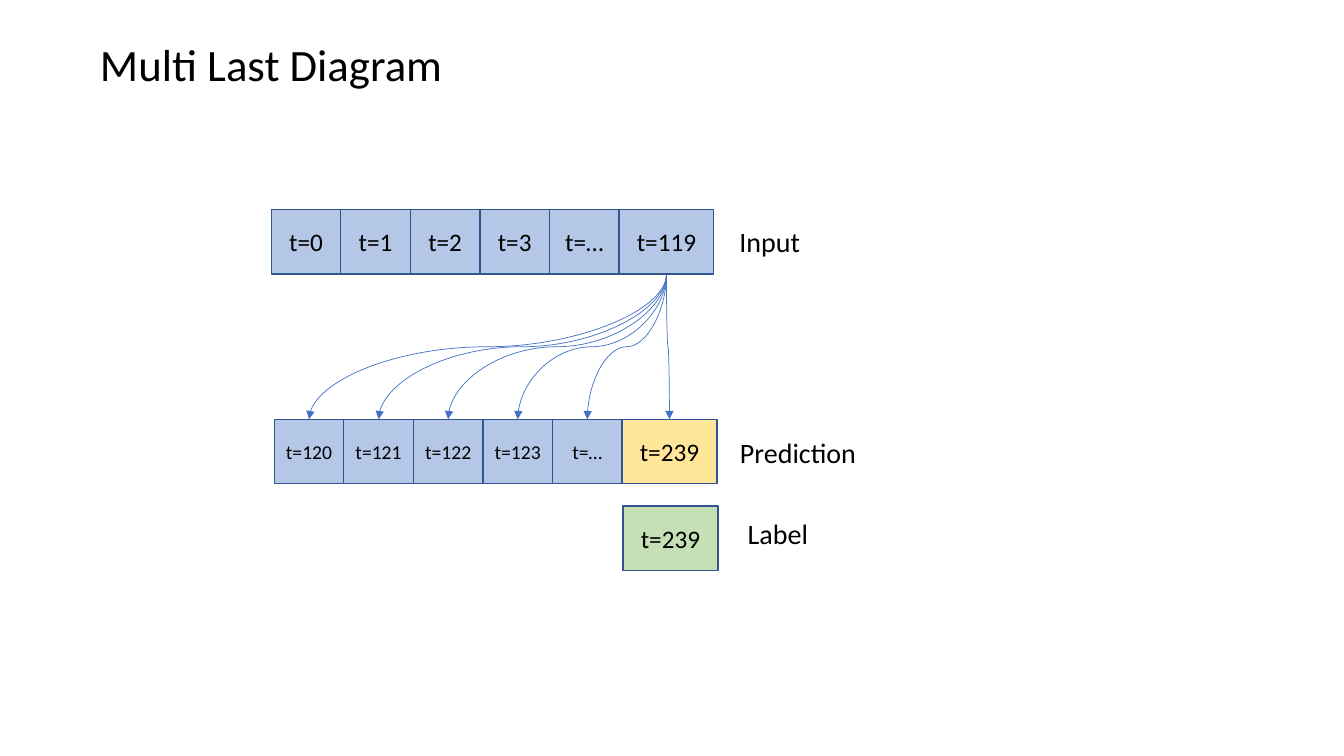
import pptx
import pptx.util
import pptx.dml.color
import pptx.enum.shapes
import pptx.enum.text
import pptx.oxml
from pptx.oxml.ns import qn

Inches = pptx.util.Inches
Pt = pptx.util.Pt
RGBColor = pptx.dml.color.RGBColor

BLACK = RGBColor(0x00, 0x00, 0x00)
BLUE = RGBColor(0xB4, 0xC7, 0xE7)
YELLOW = RGBColor(0xFF, 0xE6, 0x99)
GREEN = RGBColor(0xC5, 0xE0, 0xB4)
OUTLINE = RGBColor(0x32, 0x54, 0x91)
ARROW = RGBColor(0x44, 0x72, 0xC4)

FONT = "Calibri"
STEP_W, LAST_W, CELL_H = 0.69, 0.94, 0.64


def write(tf, text, size):
    """Put one centred black line of text in a text frame."""
    p = tf.paragraphs[0]
    p.text = text
    p.alignment = pptx.enum.text.PP_ALIGN.CENTER
    p.font.name = FONT
    p.font.size = Pt(size)
    p.font.color.rgb = BLACK


def add_caption(s, x, y, w, h, text, size=20):
    tf = s.shapes.add_textbox(Inches(x), Inches(y), Inches(w), Inches(h)).text_frame
    tf.word_wrap = False
    tf.auto_size = pptx.enum.text.MSO_AUTO_SIZE.SHAPE_TO_FIT_TEXT
    write(tf, text, size)


def add_cell(s, x, y, w, text, size=18, fill=BLUE):
    sp = s.shapes.add_shape(pptx.enum.shapes.MSO_SHAPE.RECTANGLE,
                            Inches(x), Inches(y), Inches(w), Inches(CELL_H))
    sp.shadow.inherit = False
    sp.fill.solid()
    sp.fill.fore_color.rgb = fill
    sp.line.color.rgb = OUTLINE
    sp.line.width = Pt(1)
    sp.text_frame.vertical_anchor = pptx.enum.text.MSO_ANCHOR.MIDDLE
    write(sp.text_frame, text, size)


def add_sequence(s, x, y, steps, last, step_size=18, last_fill=BLUE):
    """Draw a row of time steps and a wider last one; return the cell centres."""
    centres = []
    for i, text in enumerate(steps):
        left = x + i * STEP_W
        add_cell(s, left, y, STEP_W, text, step_size)
        centres.append(left + STEP_W / 2)
    left = x + len(steps) * STEP_W
    add_cell(s, left, y, LAST_W, last, fill=last_fill)
    return centres + [left + LAST_W / 2]


def add_curve(s, x1, y1, x2, y2):
    """Draw a curved arrow that leaves and arrives vertically."""
    run, rise = abs(x2 - x1), y2 - y1
    cx, cy = (x1 + x2) / 2, (y1 + y2) / 2
    start, end, turn = cx - rise / 2, cx + rise / 2, 90
    if x2 > x1:
        start, end, turn = end, start, 270
    c = s.shapes.add_connector(pptx.enum.shapes.MSO_CONNECTOR.CURVE,
                               Inches(start), Inches(cy - run / 2),
                               Inches(end), Inches(cy + run / 2))
    c.line.color.rgb = ARROW
    c.line.width = Pt(0.5)
    props = c.element.spPr
    props.find(qn("a:xfrm")).set("rot", str(turn * 60000))
    tail = pptx.oxml.parse_xml(
        '<a:tailEnd xmlns:a="http://schemas.openxmlformats.org/drawingml/2006/main"'
        ' type="triangle"/>')
    props.find(qn("a:ln")).append(tail)
    props.append(props.makeelement(qn("a:effectLst"), {}))


def add_diagram(s, x, y):
    """Draw input, prediction and label rows with the input's top left at x, y."""
    prediction_y = y + 2.08
    label_y = y + 2.94
    inputs = add_sequence(s, x, y, ["t=0", "t=1", "t=2", "t=3", "t=…"], "t=119")
    add_caption(s, x + 4.54, y + 0.1, 0.81, 0.44, "Input")
    outputs = add_sequence(s, x + 0.03, prediction_y,
                           ["t=120", "t=121", "t=122", "t=123", "t=…"], "t=239",
                           step_size=14, last_fill=YELLOW)
    add_caption(s, x + 4.54, prediction_y + 0.11, 1.37, 0.44, "Prediction")
    add_cell(s, x + 3.49, label_y, LAST_W, "t=239", fill=GREEN)
    add_caption(s, x + 4.62, label_y + 0.06, 0.81, 0.44, "Label")
    for target in reversed(outputs):
        add_curve(s, inputs[-1], y + CELL_H, target, prediction_y)


def main():
    prs = pptx.Presentation()
    prs.slide_width, prs.slide_height = Inches(13.33), Inches(7.5)
    s = prs.slides.add_slide(prs.slide_layouts[6])
    add_caption(s, 0.87, 0.32, 3.64, 0.64, "Multi Last Diagram", size=32)
    add_diagram(s, 2.69, 2.08)
    prs.save("out.pptx")


if __name__ == "__main__":
    main()
